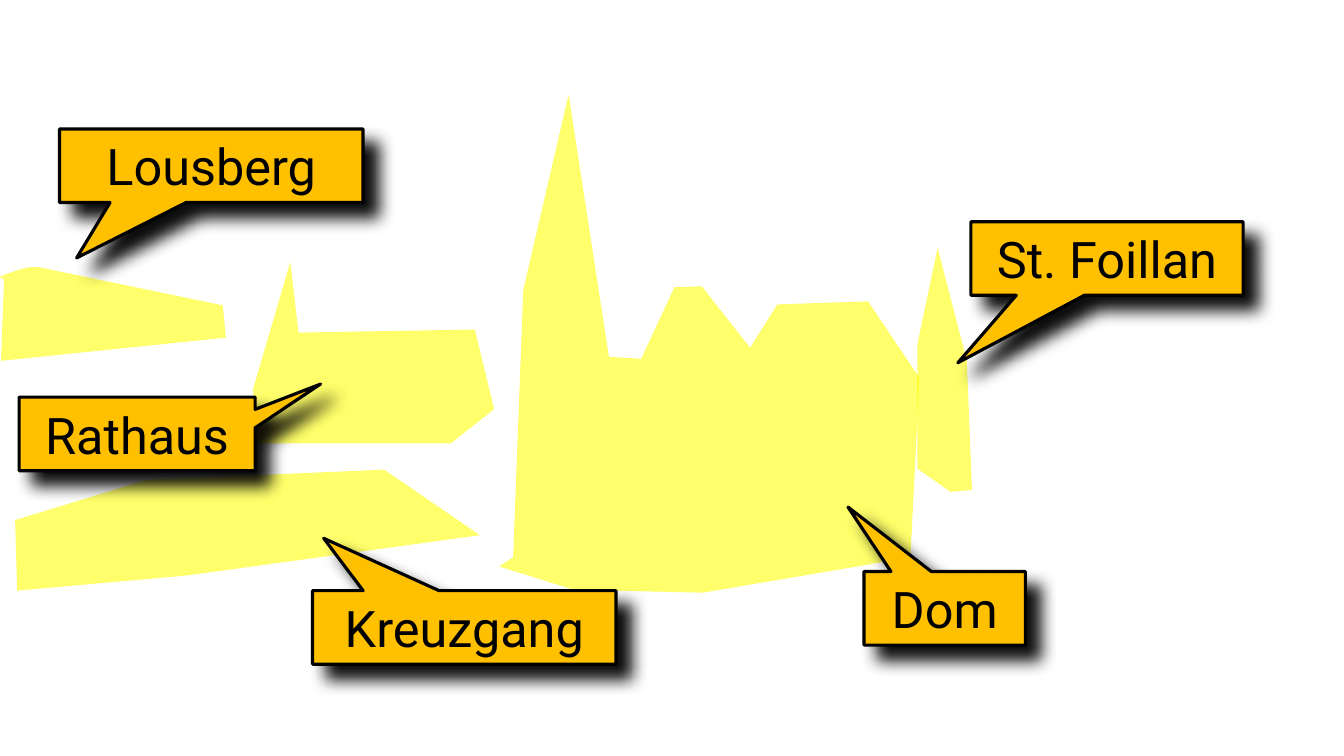
from dataclasses import dataclass

from lxml.etree import SubElement as Sub
from pptx import Presentation
from pptx.dml.color import RGBColor as Rgb
from pptx.enum.shapes import MSO_SHAPE as Kind
from pptx.enum.text import MSO_ANCHOR as Anchor, PP_ALIGN as Align
from pptx.oxml.ns import qn
from pptx.slide import Slide
from pptx.util import Inches, Pt

Point = tuple[float, float]


@dataclass(frozen=True)
class Theme:
    glow: str = "FFFF00"
    label: str = "FFC000"
    ink: str = "000000"
    font: str = "Roboto"
    size: int = 36
    edge: float = 2.25
    glow_alpha: int = 58
    shade_alpha: int = 94
    shade_blur: int = 12
    shade_dist: int = 14
    shade_angle: int = 45


@dataclass(frozen=True)
class Label:
    text: str
    left: float
    top: float
    width: float
    tip: Point


THEME = Theme()
HEIGHT = 0.73

LOUSBERG = [(0.04, 2.77), (-0.01, 2.75), (0.09, 2.71), (0.21, 2.67), (0.3, 2.65),
            (0.38, 2.65), (2.21, 3.03), (2.24, 3.35), (0.01, 3.58)]
KREUZGANG = [(1.85, 5.71), (4.76, 5.31), (3.81, 4.66), (1.46, 4.76), (0.15, 5.16),
             (0.17, 5.86)]
RATHAUS = [(2.51, 3.86), (2.88, 2.6), (2.96, 3.3), (4.71, 3.27), (4.9, 4.06),
           (4.47, 4.4), (2.55, 4.4)]
DOM = [(5.09, 5.53), (5.19, 2.88), (5.64, 0.94), (6.04, 3.54), (6.36, 3.56),
       (6.69, 2.85), (6.96, 2.84), (7.44, 3.45), (7.71, 3.02), (8.61, 2.99),
       (9.12, 3.75), (9.03, 5.53), (6.97, 5.88), (5.69, 5.85), (4.95, 5.62)]
FOILLAN = [(9.1, 4.65), (9.1, 3.41), (9.3, 2.46), (9.59, 3.58), (9.64, 4.86),
           (9.43, 4.88)]
AREAS = [LOUSBERG, KREUZGANG, RATHAUS, DOM, FOILLAN]

LABELS = [
    Label("Lousberg", 0.59, 1.28, 3.01, (0.76, 2.56)),
    Label("Kreuzgang", 3.1, 5.86, 3.01, (3.21, 5.34)),
    Label("Rathaus", 0.19, 3.94, 2.34, (3.18, 3.81)),
    Label("Dom", 8.57, 5.67, 1.6, (8.41, 5.03)),
    Label("St. Foillan", 9.63, 2.2, 2.7, (9.5, 3.6)),
]


def style(item: object, **values: object) -> None:
    for name, value in values.items():
        setattr(item, name, value)


def draw_area(slide: Slide, points: list[Point]) -> None:
    spots = [(Inches(x), Inches(y)) for x, y in points]
    pen = slide.shapes.build_freeform(*spots[0])
    pen.add_line_segments(spots[1:], close=True)
    area = pen.convert_to_shape()
    area.shadow.inherit = False
    area.line.fill.background()
    area.fill.solid()
    area.fill.fore_color.rgb = Rgb.from_string(THEME.glow)
    color = area.element.spPr.find(f".//{qn('a:solidFill')}/{qn('a:srgbClr')}")
    Sub(color, qn("a:alpha"), val=str(THEME.glow_alpha * 1000))


def draw_label(slide: Slide, label: Label) -> None:
    box = slide.shapes.add_shape(
        Kind.RECTANGULAR_CALLOUT,
        *map(Inches, (label.left, label.top, label.width, HEIGHT)))
    x, y = label.tip
    box.adjustments[0] = (x - label.left) / label.width - 0.5
    box.adjustments[1] = (y - label.top) / HEIGHT - 0.5
    ink = Rgb.from_string(THEME.ink)
    box.fill.solid()
    box.fill.fore_color.rgb = Rgb.from_string(THEME.label)
    box.line.color.rgb = ink
    box.line.width = Pt(THEME.edge)
    box.shadow.inherit = False
    shade = Sub(box.element.spPr.find(qn("a:effectLst")), qn("a:outerShdw"),
                blurRad=str(Pt(THEME.shade_blur)), dist=str(Pt(THEME.shade_dist)),
                dir=str(THEME.shade_angle * 60000), algn="tl", rotWithShape="0")
    color = Sub(shade, qn("a:srgbClr"), val=THEME.ink)
    Sub(color, qn("a:alpha"), val=str(THEME.shade_alpha * 1000))
    frame = box.text_frame
    style(frame, text=label.text, vertical_anchor=Anchor.MIDDLE, word_wrap=True)
    line = frame.paragraphs[0]
    line.alignment = Align.CENTER
    font = line.runs[0].font
    style(font, name=THEME.font, size=Pt(THEME.size))
    font.color.rgb = ink


def main() -> None:
    deck = Presentation()
    style(deck, slide_width=Inches(13.33), slide_height=Inches(7.5))
    slide = deck.slides.add_slide(deck.slide_layouts[6])
    for area in AREAS:
        draw_area(slide, area)
    for label in LABELS:
        draw_label(slide, label)
    deck.save("out.pptx")


if __name__ == "__main__":
    main()
